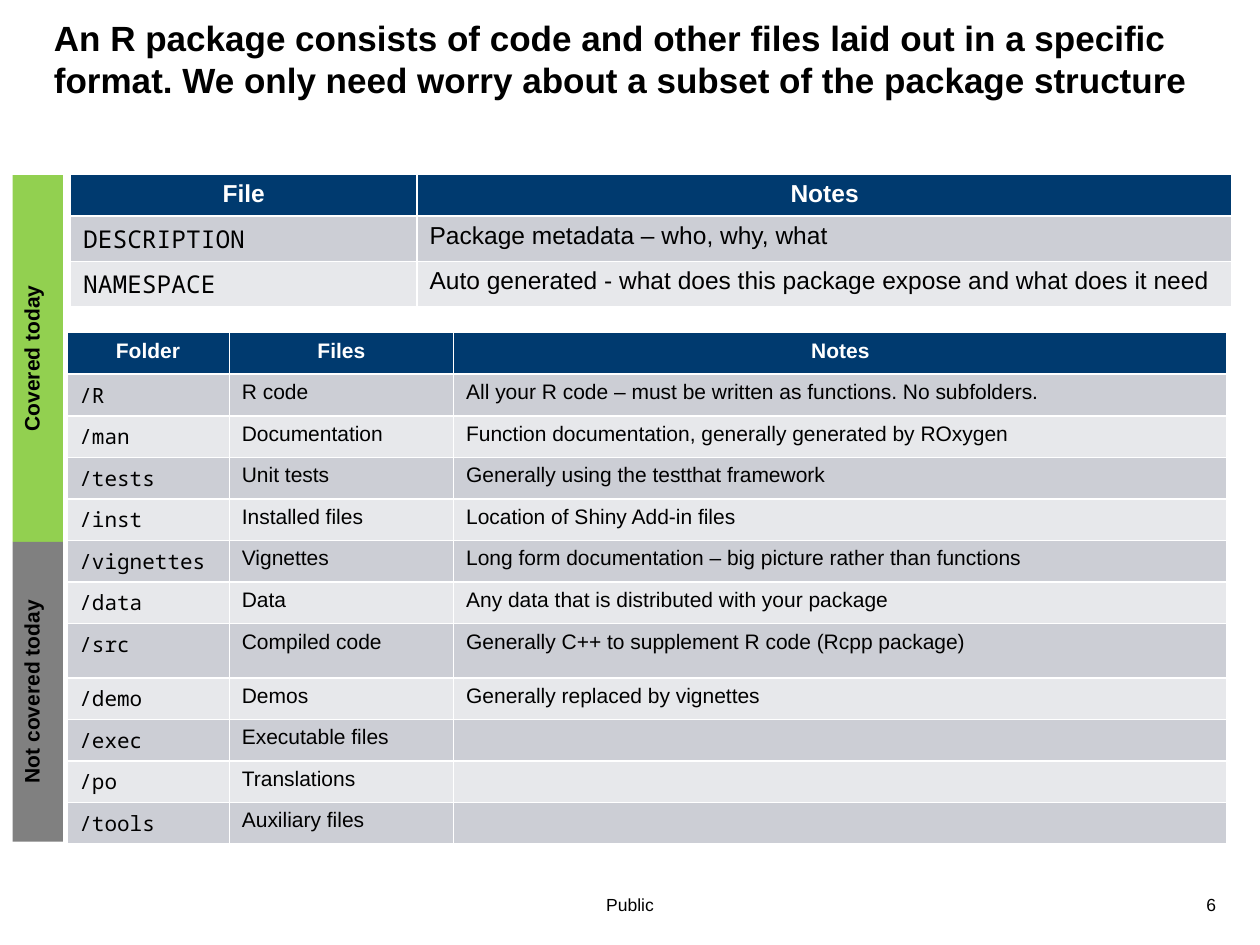
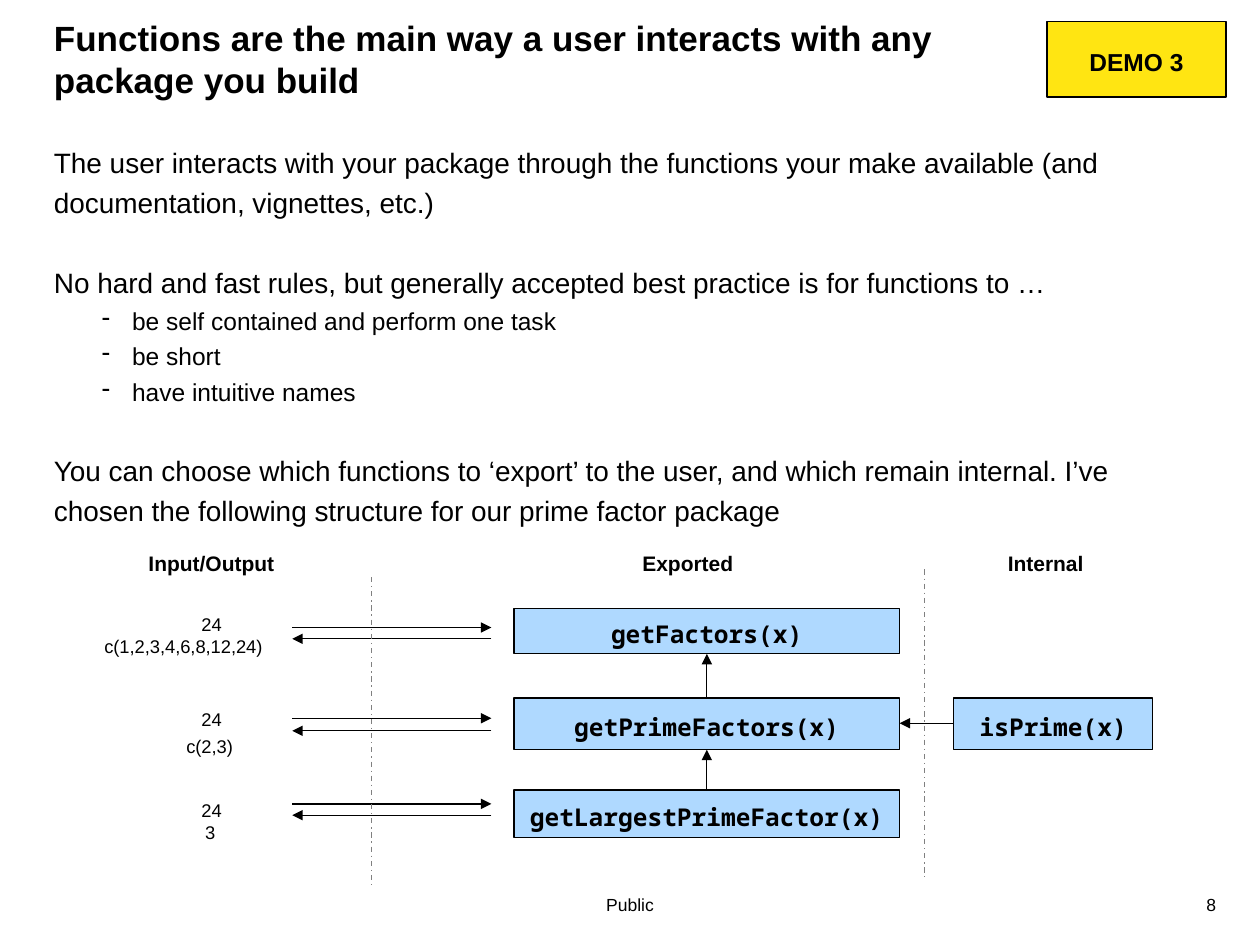
from lxml import etree
from pptx import Presentation
from pptx.dml.color import RGBColor
from pptx.enum.dml import MSO_LINE
from pptx.enum.shapes import MSO_CONNECTOR, MSO_SHAPE
from pptx.enum.text import MSO_ANCHOR, PP_ALIGN
from pptx.oxml.ns import qn
from pptx.util import Inches, Pt

LEFT, CENTER, RIGHT = PP_ALIGN.LEFT, PP_ALIGN.CENTER, PP_ALIGN.RIGHT
TOP, MIDDLE = MSO_ANCHOR.TOP, MSO_ANCHOR.MIDDLE
RECTANGLE, STRAIGHT = MSO_SHAPE.RECTANGLE, MSO_CONNECTOR.STRAIGHT
DASH_DOT = MSO_LINE.DASH_DOT

BLACK = RGBColor(0x00, 0x00, 0x00)
WHITE = RGBColor(0xFF, 0xFF, 0xFF)
NAVY = RGBColor(0x00, 0x3A, 0x6F)
BAND_DARK = RGBColor(0xCC, 0xCE, 0xD5)
BAND_LIGHT = RGBColor(0xE7, 0xE8, 0xEB)
GREEN = RGBColor(0x92, 0xD0, 0x50)
GRAY = RGBColor(0x80, 0x80, 0x80)
LIGHT_BLUE = RGBColor(0xAF, 0xD9, 0xFF)
YELLOW = RGBColor(0xFF, 0xE5, 0x12)
SANS, MONO = "Arial", "Noto Sans Mono"


def write(frame, text, size=12, font=SANS, color=BLACK, bold=False, align=LEFT,
          spacing=None, before=None, bullet=None):
    """Put one formatted paragraph into a text frame."""
    paragraph = frame.paragraphs[0]
    if paragraph.runs:
        paragraph = frame.add_paragraph()
    paragraph.text = text
    paragraph.alignment = align
    if spacing:
        paragraph.line_spacing = spacing
    if before is not None:
        paragraph.space_before = Pt(before)
    for run in paragraph.runs:
        run.font.size = Pt(size)
        run.font.name = font
        run.font.bold = bold
        run.font.color.rgb = color
    if not text:
        etree.SubElement(paragraph._p, qn("a:endParaRPr"), sz=str(size * 100))
    if bullet:
        paragraph.level = 1
        properties = paragraph._p.get_or_add_pPr()
        properties.set("marL", str(Inches(0.62)))
        properties.set("indent", str(Inches(-0.24)))
        etree.SubElement(properties, qn("a:buChar"), char=bullet)


def add_box(slide, position, fill=None, outline=None, anchor=TOP, wrap=True):
    """Add a text box, or a rectangle if it has a fill; return its text frame."""
    lengths = [Inches(value) for value in position]
    if fill is None:
        shape = slide.shapes.add_textbox(*lengths)
    else:
        shape = slide.shapes.add_shape(RECTANGLE, *lengths)
        shape.shadow.inherit = False
        shape.fill.solid()
        shape.fill.fore_color.rgb = fill
        if outline is None:
            shape.line.fill.background()
        else:
            shape.line.color.rgb = outline
            shape.line.width = Pt(0.75)
    shape.text_frame.word_wrap = wrap
    shape.text_frame.vertical_anchor = anchor
    return shape.text_frame


presentation = Presentation()
presentation.slide_width, presentation.slide_height = Inches(10), Inches(7.5)

# Titles and footers of both slides
TITLES = [
    ("An R package consists of code and other files laid out in a specific format. "
     "We only need worry about a subset of the package structure", "6"),
    ("Functions are the main way a user interacts with any\vpackage you build", "8"),
]
for title, number in TITLES:
    slide = presentation.slides.add_slide(presentation.slide_layouts[6])
    write(add_box(slide, (0.33, 0.08, 9.33, 0.77)), title, size=20, bold=True)
    write(add_box(slide, (2, 7.05, 6, 0.27)), "Public", size=10, align=CENTER)
    write(add_box(slide, (9.3, 7.05, 0.45, 0.27)), number, size=10, align=RIGHT)
structure_slide, functions_slide = presentation.slides

# Slide 1: side labels
for label, top, height, fill in [("Covered today", 1.39, 2.91, GREEN),
                                 ("Not covered today", 4.3, 2.38, GRAY)]:
    frame = add_box(structure_slide, (0.1, top, 0.4, height), fill)
    frame._txBody.bodyPr.set("vert", "vert270")
    write(frame, label, bold=True, align=CENTER)

# Slide 1: tables of files and folders
FILES = [
    ("File", "Notes"),
    ("DESCRIPTION", "Package metadata – who, why, what"),
    ("NAMESPACE", "Auto generated - what does this package expose and what does it need"),
]
FOLDERS = [
    ("Folder", "Files", "Notes"),
    ("/R", "R code", "All your R code – must be written as functions. No subfolders."),
    ("/man", "Documentation", "Function documentation, generally generated by ROxygen"),
    ("/tests", "Unit tests", "Generally using the testthat framework"),
    ("/inst", "Installed files", "Location of Shiny Add-in files"),
    ("/vignettes", "Vignettes",
     "Long form documentation – big picture rather than functions"),
    ("/data", "Data", "Any data that is distributed with your package"),
    ("/src", "Compiled code", "Generally C++ to supplement R code (Rcpp package)"),
    ("/demo", "Demos", "Generally replaced by vignettes"),
    ("/exec", "Executable files", ""),
    ("/po", "Translations", ""),
    ("/tools", "Auxiliary files", ""),
]
FOLDER_HEIGHTS = [0.43 if row[0] == "/src" else 0.33 for row in FOLDERS]
for rows, left, top, widths, heights, size in [
    (FOLDERS, 0.53, 2.64, [1.29, 1.78, 6.14], FOLDER_HEIGHTS, 12),
    (FILES, 0.56, 1.38, [2.75, 6.47], [0.32, 0.36, 0.36], 14),
]:
    table = structure_slide.shapes.add_table(
        len(rows), len(widths), Inches(left), Inches(top),
        Inches(sum(widths)), Inches(sum(heights))).table
    for column, width in zip(table.columns, widths):
        column.width = Inches(width)
    for row_index, row in enumerate(rows):
        table.rows[row_index].height = Inches(heights[row_index])
        for column_index, text in enumerate(row):
            cell = table.cell(row_index, column_index)
            cell.fill.solid()
            if row_index == 0:
                cell.fill.fore_color.rgb = NAVY
                write(cell.text_frame, text, size=size, color=WHITE, bold=True,
                      align=CENTER)
            else:
                cell.fill.fore_color.rgb = BAND_DARK if row_index % 2 else BAND_LIGHT
                write(cell.text_frame, text, size=size,
                      font=SANS if column_index else MONO)

# Slide 2: body text
body = add_box(functions_slide, (0.33, 1.05, 9.33, 3.23))
for text, size, before, bullet in [
    ("The user interacts with your package through the functions your make available "
     "(and documentation, vignettes, etc.)", 16, 0.2, None),
    ("No hard and fast rules, but generally accepted best practice is for functions "
     "to …", 16, 23, None),
    ("be self contained and perform one task", 14, 0.2, "-"),
    ("be short", 14, 0.2, "-"),
    ("have intuitive names", 14, 0.2, "-"),
    ("You can choose which functions to ‘export’ to the user, and which remain "
     "internal. I’ve chosen the following structure for our prime factor package",
     16, 23, None),
]:
    write(body, text, size=size, spacing=1.2, before=before, bullet=bullet)

# Slide 2: function boxes and demo tag
for text, position, fill, font in [
    ("isPrime(x)", (7.57, 5.54, 1.58, 0.41), LIGHT_BLUE, MONO),
    ("getFactors(x)", (4.08, 4.83, 3.06, 0.36), LIGHT_BLUE, MONO),
    ("getPrimeFactors(x)", (4.08, 5.54, 3.06, 0.41), LIGHT_BLUE, MONO),
    ("getLargestPrimeFactor(x)", (4.08, 6.27, 3.06, 0.38), LIGHT_BLUE, MONO),
    ("DEMO 3", (8.31, 0.17, 1.42, 0.6), YELLOW, SANS),
]:
    frame = add_box(functions_slide, position, fill, BLACK, MIDDLE)
    write(frame, text, size=14, font=font, bold=True, align=CENTER,
          spacing=1.2, before=2.8)

# Slide 2: column headings
for text, left, width in [("Input/Output", 1.08, 1.22), ("Exported", 5, 0.93),
                          ("Internal", 7.9, 0.81)]:
    write(add_box(functions_slide, (left, 4.32, width, 0.3), wrap=False), text, bold=True)

# Slide 2: example inputs and outputs
for text, left, top, width in [
    ("24", 1.5, 4.78, 0.39), ("c(1,2,3,4,6,8,12,24)", 0.73, 4.96, 1.5),
    ("24", 1.5, 5.54, 0.39), ("c(2,3)", 1.38, 5.75, 0.58),
    ("24", 1.5, 6.26, 0.39), ("3", 1.53, 6.43, 0.39),
]:
    write(add_box(functions_slide, (left, top, width, 0.21)), text, size=10.5,
          spacing=1.2, before=0.2)

# Slide 2: arrows between functions, input/output arrows, column dividers
arrows = [(7.57, 5.74, 7.14, 5.74), (5.61, 6.27, 5.61, 5.95), (5.61, 5.54, 5.61, 5.19)]
for input_y, output_y in [(4.98, 5.07), (5.7, 5.8), (6.38, 6.47)]:
    arrows += [(2.32, input_y, 3.9, input_y), (3.9, output_y, 2.32, output_y)]
dividers = [(7.34, 4.52, 7.34, 6.96), (2.95, 4.58, 2.95, 7.02)]
for ends in arrows + dividers:
    connector = functions_slide.shapes.add_connector(
        STRAIGHT, *[Inches(value) for value in ends])
    connector.line.width = Pt(0.75)
    if ends in dividers:
        connector.line.color.rgb = GRAY
        connector.line.dash_style = DASH_DOT
    else:
        connector.line.color.rgb = BLACK
        etree.SubElement(connector.line._get_or_add_ln(), qn("a:tailEnd"), type="triangle")
    etree.SubElement(connector._element.spPr, qn("a:effectLst"))

presentation.save("out.pptx")
